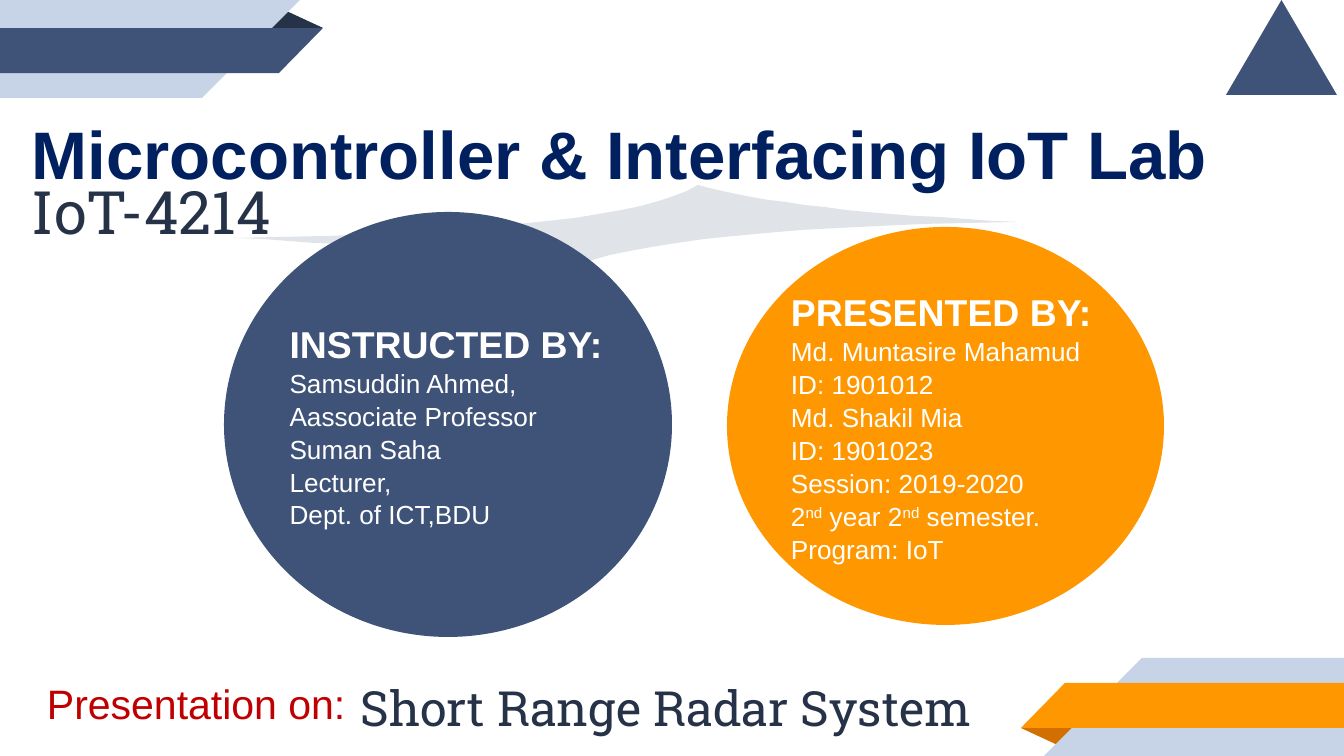
"""Builds the title slide of a student radar project."""
from dataclasses import dataclass

from pptx import Presentation
from pptx.dml.color import RGBColor
from pptx.enum.shapes import MSO_SHAPE
from pptx.enum.text import MSO_ANCHOR, PP_ALIGN
from pptx.util import Emu, Pt

RECT, OVAL = MSO_SHAPE.RECTANGLE, MSO_SHAPE.OVAL
TRIANGLE, RIGHT_TRIANGLE = MSO_SHAPE.ISOSCELES_TRIANGLE, MSO_SHAPE.RIGHT_TRIANGLE
TOP, MIDDLE, LEFT = MSO_ANCHOR.TOP, MSO_ANCHOR.MIDDLE, PP_ALIGN.LEFT

SCALE = 914400 / 134.4
WIDTH, HEIGHT = 1344, 756


@dataclass(frozen=True)
class Theme:
    """Colours, fonts and type sizes."""
    white: str = "FFFFFF"
    navy: str = "3F5378"
    dark: str = "263248"
    pale: str = "C7D3E6"
    orange: str = "FF9800"
    rust: str = "D26F00"
    grey: str = "E0E4E9"
    title_blue: str = "002060"
    red: str = "C00000"
    sans: str = "Arial"
    slab: str = "Roboto Slab"
    title: int = 36
    code: int = 32
    topic: int = 26
    label: int = 22
    heading: int = 20
    body: int = 14
    spacing: float = 1.05


def px(n):
    """Turn px into EMU."""
    return Emu(round(n * SCALE))


def bezier(start, a, b, end, steps=16):
    """Points along a cubic curve, without its start."""
    for i in range(1, steps + 1):
        t = i / steps
        u = 1 - t
        yield tuple(u**3 * p + 3 * u * u * t * q + 3 * u * t * t * v + t**3 * w
                    for p, q, v, w in zip(start, a, b, end))


class Deck:
    """Holds the theme and the current slide."""

    def __init__(self, prs, theme):
        """Add a title-only slide."""
        self.theme = theme
        self.s = prs.slides.add_slide(prs.slide_layouts[5])

    def paint(self, sp, color):
        """Give a shape a flat fill."""
        sp.shadow.inherit = False
        sp.fill.solid()
        sp.fill.fore_color.rgb = RGBColor.from_string(color)
        sp.line.fill.background()

    def font(self, p, name, size, color, bold=False):
        """Set the type of a paragraph."""
        p.alignment = LEFT
        p.font.name, p.font.size, p.font.bold = name, Pt(size), bold
        p.font.color.rgb = RGBColor.from_string(color)

    def shape(self, kind, box, color, turn=0, flip=False):
        """Add a filled preset shape."""
        sp = self.s.shapes.add_shape(kind, *map(px, box))
        self.paint(sp, color)
        sp.rotation = turn
        if flip:
            sp.element.spPr.get_or_add_xfrm().set("flipH", "1")
        return sp

    def ribbon(self, band, fold, turned=False):
        """Add a corner ribbon, half turned for the opposite corner."""
        pale = self.theme.pale
        parts = [
            (TRIANGLE, (266, 10, 57, 18), fold, 0, False),
            (RECT, (0, 0, 202, 98), pale, 180, True),
            (RIGHT_TRIANGLE, (202, 0, 98, 98), pale, 180, True),
            (RECT, (0, 28, 279, 45), band, 180, True),
            (RIGHT_TRIANGLE, (279, 28, 44, 45), band, 180, True),
        ]
        for kind, (x, y, w, h), color, turn, flip in parts:
            if turned:
                x, y, turn = WIDTH - x - w, HEIGHT - y - h, (turn + 180) % 360
            sp = self.shape(kind, (x, y, w, h), color, turn, flip)
            if kind == TRIANGLE:
                sp.adjustments[0] = 0.32

    def curved(self, start, curves, color):
        """Add a closed outline of cubic curves."""
        points, here = [], start
        for a, b, end in curves:
            points += bezier(here, a, b, end)
            here = end
        builder = self.s.shapes.build_freeform(*start, scale=SCALE)
        builder.add_line_segments(points, close=True)
        self.paint(builder.convert_to_shape(), color)

    def line(self, sp, box, text, name, size, color, bold=False):
        """Place and fill a one-line text frame."""
        sp.left, sp.top, sp.width, sp.height = map(px, box)
        tf = sp.text_frame
        tf.word_wrap, tf.vertical_anchor = True, TOP
        tf.margin_left, tf.margin_right = px(36), px(13)
        tf.margin_top = tf.margin_bottom = px(7)
        tf.text = text
        self.font(tf.paragraphs[0], name, size, color, bold)

    def title(self, box, *style):
        """Fill the title placeholder."""
        self.line(self.s.shapes.title, box, *style)

    def text(self, box, *style):
        """Add a text box."""
        self.line(self.s.shapes.add_textbox(*map(px, box)), box, *style)

    def circle(self, box, color, heading, lines):
        """Add an ellipse with a heading and lines; ^ marks superscript parts."""
        t = self.theme
        tf = self.shape(OVAL, box, color).text_frame
        tf.word_wrap, tf.vertical_anchor = True, MIDDLE
        tf.margin_left = tf.margin_right = tf.margin_top = tf.margin_bottom = 0
        for i, text in enumerate([heading, *lines]):
            p = tf.add_paragraph() if i else tf.paragraphs[0]
            p.line_spacing = t.spacing
            self.font(p, t.sans, t.body if i else t.heading, t.white, not i)
            for j, part in enumerate(text.split("^")):
                r = p.add_run()
                r.text = part
                if j % 2:
                    r.font._element.set("baseline", "30000")


def main():
    """Build and save the slide."""
    prs = Presentation()
    prs.slide_width, prs.slide_height = px(WIDTH), px(HEIGHT)
    t = Theme()
    deck = Deck(prs, t)
    deck.title((-4, 105, 1228, 95), "Microcontroller & Interfacing IoT Lab",
               t.sans, t.title, t.title_blue, True)
    deck.ribbon(t.navy, t.dark)
    deck.ribbon(t.orange, t.rust, turned=True)
    deck.shape(TRIANGLE, (1226, 0, 111, 95), t.navy)
    deck.curved((556, 276), [
        ((603, 245), (751, 227), (1019, 222)),
        ((871, 215), (755, 202), (698, 185)),
        ((646, 216), (503, 233), (235, 238)),
        ((380, 245), (499, 258), (556, 276)),
    ], t.grey)
    deck.circle((727, 227, 437, 398), t.orange, "PRESENTED BY:", [
        "Md. Muntasire Mahamud", "ID: 1901012", "Md. Shakil Mia", "ID: 1901023",
        "Session: 2019-2020", "2^nd^ year 2^nd^ semester.", "Program: IoT"])
    deck.circle((224, 212, 448, 425), t.navy, "INSTRUCTED BY:", [
        "Samsuddin Ahmed,", "Aassociate Professor", "Suman Saha", "Lecturer,",
        "Dept. of ICT,BDU"])
    deck.text((-4, 168, 329, 86), "IoT-4214", t.slab, t.code, t.dark)
    deck.text((325, 671, 763, 73), "Short Range Radar System", t.slab, t.topic, t.dark)
    deck.text((11, 671, 353, 63), "Presentation on:", t.sans, t.label, t.red)
    prs.save("out.pptx")


if __name__ == "__main__":
    main()
